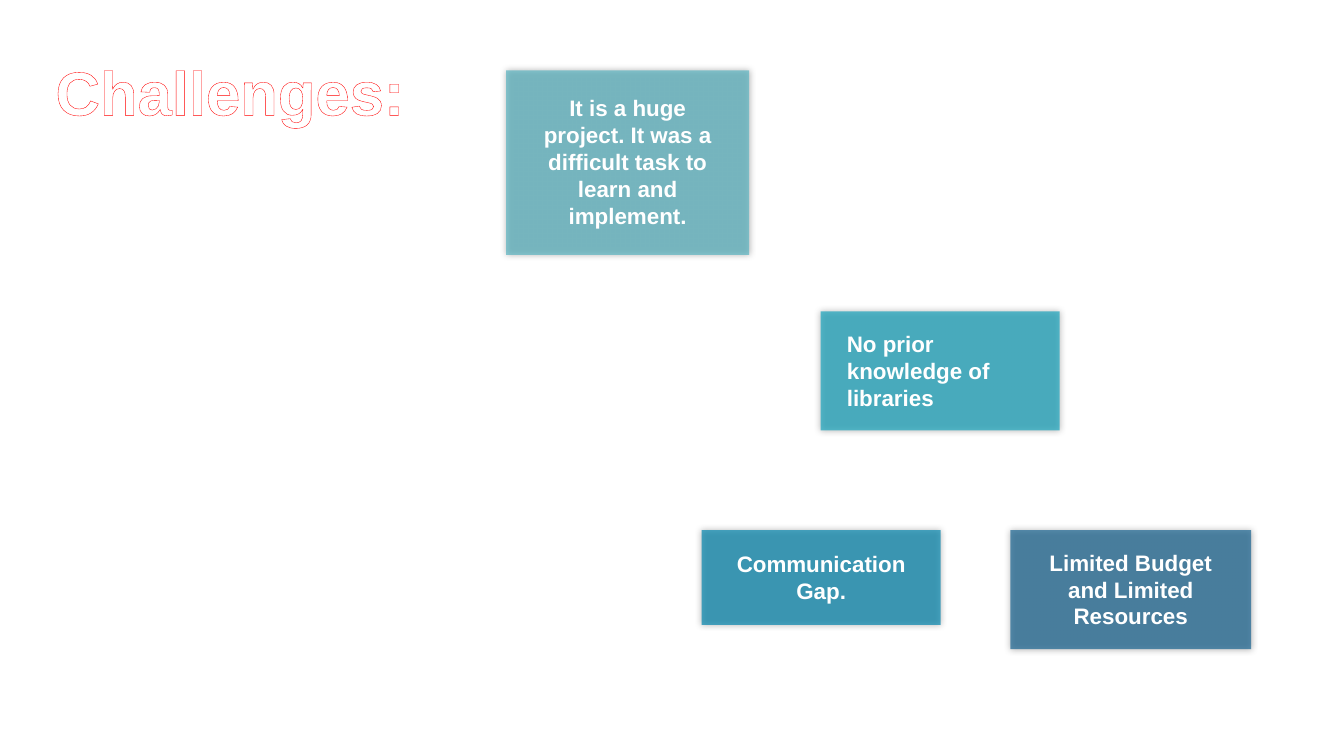
from typing import NamedTuple

from lxml import etree
from pptx import Presentation
from pptx.dml.color import RGBColor
from pptx.enum.shapes import MSO_SHAPE
from pptx.enum.text import MSO_ANCHOR, MSO_AUTO_SIZE, PP_ALIGN
from pptx.oxml import parse_xml
from pptx.oxml.ns import nsdecls, qn
from pptx.util import Inches, Pt

RECT = MSO_SHAPE.RECTANGLE
MIDDLE = MSO_ANCHOR.MIDDLE
GROW = MSO_AUTO_SIZE.SHAPE_TO_FIT_TEXT
LEFT, CENTER = PP_ALIGN.LEFT, PP_ALIGN.CENTER

WIDE, HIGH = Inches(13.33), Inches(7.5)
FONT = "Arial"
WHITE, RED = "FFFFFF", "FF0000"
TEXT_WIDE = 15.38  # percent of the slide width
LINE_HIGH, PADDING = 3.6, 1.33  # percent of the slide height


class Box(NamedTuple):
    """Left, top, width and height in percent of the slide."""
    left: float
    top: float
    wide: float
    high: float


class Card(NamedTuple):
    text: str
    lines: int
    fill: str
    box: Box
    align: PP_ALIGN = CENTER


CARDS = [
    Card("Limited Budget and Limited Resources", 3, "196491",
         Box(75.17, 70.13, 17.93, 15.73)),
    Card("Communication Gap.", 2, "0587AF",
         Box(52.21, 70.13, 17.78, 12.53)),
    Card("No prior knowledge of libraries", 3, "19A5BE",
         Box(61.07, 41.2, 17.78, 15.73), LEFT),
    Card("It is a huge project. It was a difficult task to learn and implement.",
         5, "5AB4C1", Box(37.66, 9.33, 18.08, 24.4)),
]
TITLE = Box(3.83, 7.07, 27.68, 9.87)


def color(code: str) -> RGBColor:
    return RGBColor.from_string(code)


def place(box: Box) -> tuple[int, int, int, int]:
    """Turn percents into slide lengths."""
    return (int(WIDE * box.left / 100), int(HIGH * box.top / 100),
            int(WIDE * box.wide / 100), int(HIGH * box.high / 100))


def add_panel(slide, card: Card) -> None:
    """Draw the see-through card with its soft, centred shadow."""
    panel = slide.shapes.add_shape(RECT, *place(card.box))
    panel.fill.solid()
    panel.fill.fore_color.rgb = color(card.fill)
    panel.line.fill.background()
    props = panel.element.spPr
    tint = props.find(f"{qn('a:solidFill')}/{qn('a:srgbClr')}")
    etree.SubElement(tint, qn("a:alpha"), val="70000")
    props.append(parse_xml(
        f'<a:effectLst {nsdecls("a")}><a:outerShdw blurRad="{Pt(5)}" dist="0">'
        '<a:srgbClr val="000000"><a:alpha val="40000"/></a:srgbClr>'
        '</a:outerShdw></a:effectLst>'))


def add_text(slide, text: str, box: Box, size: int, align: PP_ALIGN):
    label = slide.shapes.add_textbox(*place(box))
    frame = label.text_frame
    frame.word_wrap = True
    frame.auto_size = GROW
    para = frame.paragraphs[0]
    para.text = text
    para.alignment = align
    font = para.font
    font.name, font.size, font.bold = FONT, Pt(size), True
    font.color.rgb = color(WHITE)
    return frame


def add_card(slide, card: Card) -> None:
    """Draw a card and centre its text on it."""
    add_panel(slide, card)
    box = card.box
    high = PADDING + LINE_HIGH * card.lines
    inner = Box(box.left + (box.wide - TEXT_WIDE) / 2,
                box.top + (box.high - high) / 2, TEXT_WIDE, high)
    add_text(slide, card.text, inner, 16, card.align)


def add_title(slide) -> None:
    """Write the heading in white letters with a thin red outline."""
    frame = add_text(slide, "Challenges:", TITLE, 44, LEFT)
    frame.vertical_anchor = MIDDLE
    frame.margin_left = frame.margin_right = Inches(0.04)
    frame.margin_top = frame.margin_bottom = 0
    font = frame.paragraphs[0].runs[0].font
    font.color.rgb = color(WHITE)
    props = frame.paragraphs[0].runs[0]._r.get_or_add_rPr()
    props.insert(0, parse_xml(
        f'<a:ln {nsdecls("a")} w="{Pt(0.8)}"><a:solidFill>'
        f'<a:srgbClr val="{RED}"/></a:solidFill></a:ln>'))


def main() -> None:
    deck = Presentation()
    deck.slide_width, deck.slide_height = WIDE, HIGH
    slide = deck.slides.add_slide(deck.slide_layouts[6])
    for card in CARDS:
        add_card(slide, card)
    add_title(slide)
    deck.save("out.pptx")


if __name__ == "__main__":
    main()
